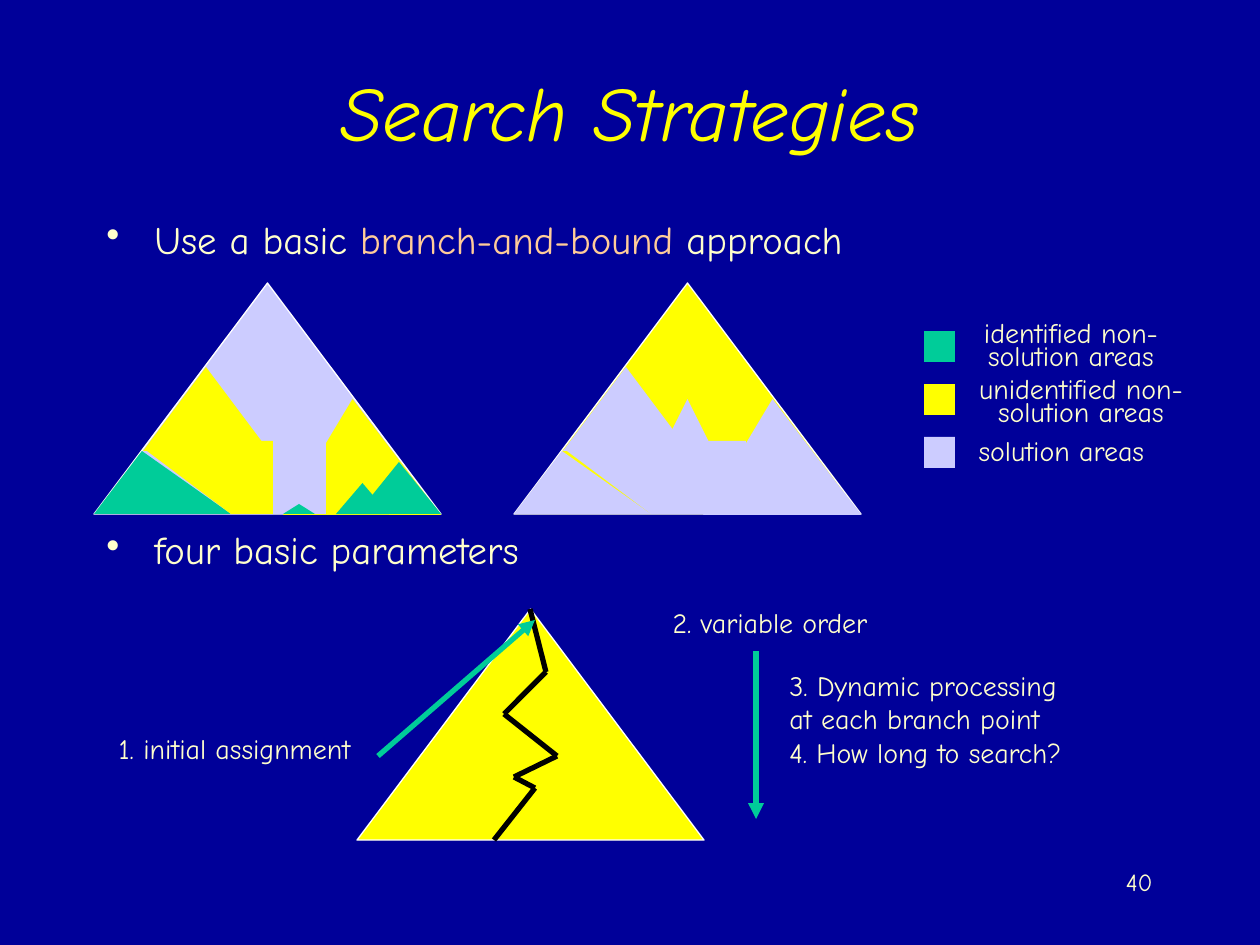
from dataclasses import dataclass
from itertools import pairwise

from lxml import etree
from pptx import Presentation
from pptx.dml.color import RGBColor
from pptx.enum.shapes import MSO_CONNECTOR, MSO_SHAPE
from pptx.enum.text import MSO_ANCHOR, PP_ALIGN
from pptx.oxml.ns import qn
from pptx.util import Emu, Pt

STRAIGHT = MSO_CONNECTOR.STRAIGHT
TRIANGLE = MSO_SHAPE.ISOSCELES_TRIANGLE
RIGHT_TRIANGLE = MSO_SHAPE.RIGHT_TRIANGLE
RECTANGLE = MSO_SHAPE.RECTANGLE
TOP = MSO_ANCHOR.TOP
MIDDLE = MSO_ANCHOR.MIDDLE
LEFT = PP_ALIGN.LEFT
CENTER = PP_ALIGN.CENTER
RIGHT = PP_ALIGN.RIGHT

EMU_PER_PX = 914400 / 126
FONT = "Comic Neue"
NAVY, WHITE, BLACK = "000099", "FFFFFF", "000000"
YELLOW, CREAM, PEACH = "FFFF00", "FFFFCC", "FFCC99"
GREEN, LAVENDER = "00CC99", "CCCCFF"
TREE_WIDTH, TREE_HEIGHT = 347, 231
TREE_TOP = 283
LEFT_TREE, RIGHT_TREE = 94, 514
SWATCH_SIZE, SWATCH_PITCH = 31, 53


@dataclass(frozen=True)
class Region:
    preset: int
    left: int
    top: int
    width: int
    height: int
    left_tree_fill: str
    peak: float = 0.5
    rotation: int = 0


@dataclass(frozen=True)
class Label:
    text: str
    left: int
    top: int
    width: int
    height: int
    size: float = 16
    align: int = CENTER
    anchor: int = MIDDLE
    spacing: float = 1.0
    wrap: bool = True


REGIONS = [
    Region(TRIANGLE, 189, 116, 158, 116, YELLOW, 0.44),
    Region(RECTANGLE, 179, 158, 53, 73, LAVENDER),
    Region(TRIANGLE, 0, 168, 137, 63, GREEN, 0.35),
    Region(TRIANGLE, 189, 221, 32, 10, GREEN),
    Region(TRIANGLE, 242, 200, 53, 31, GREEN),
    Region(TRIANGLE, 263, 179, 84, 52, GREEN),
    Region(TRIANGLE, 49, 84, 126, 84, YELLOW),
    Region(RIGHT_TRIANGLE, 53, 168, 84, 63, YELLOW, rotation=180),
    Region(RECTANGLE, 137, 158, 42, 73, YELLOW),
]
INNER_PEAK = Region(TRIANGLE, 147, 116, 53, 53, LAVENDER)

BULLETS = [
    (Label("", 94, 210, 1071, 63, 22.2, LEFT, TOP),
     [("Use a basic ", CREAM), ("branch-and-bound", PEACH), (" approach", CREAM)]),
    (Label("", 94, 525, 1071, 63, 22.2, LEFT, TOP, 0.9),
     [("four basic parameters", CREAM)]),
]
LABELS = [
    Label("solution areas", 966, 427, 191, 47, wrap=False),
    Label("unidentified non-solution areas", 945, 374, 272, 60, spacing=0.7),
    Label("identified non-solution areas", 935, 318, 272, 60, spacing=0.7),
    Label("1. initial assignment", 106, 725, 257, 47, wrap=False),
    Label("2. variable order", 659, 599, 222, 47, wrap=False),
    Label("3. Dynamic processing at each branch point\n4. How long to search?",
          777, 662, 308, 113, align=LEFT),
    Label("40", 903, 861, 262, 63, 14, RIGHT, TOP),
]
SEARCH_PATH = [(530, 609), (546, 672), (504, 714), (557, 756),
               (514, 777), (535, 788), (494, 840)]
ARROWS = [((378, 756), (535, 620)), ((756, 651), (756, 819))]


def px(length: int) -> Emu:
    return Emu(round(length * EMU_PER_PX))


def color(value: str) -> RGBColor:
    return RGBColor.from_string(value)


def style_font(font, size: float, fill: str) -> None:
    font.name = FONT
    font.size = Pt(size)
    font.color.rgb = color(fill)


def add_region(slide, region: Region, left: int, top: int, fill: str,
               outline: str = ""):
    shape = slide.shapes.add_shape(
        region.preset, px(left + region.left), px(top + region.top),
        px(region.width), px(region.height))
    shape.shadow.inherit = False
    shape.rotation = region.rotation
    if region.preset == TRIANGLE:
        shape.adjustments[0] = region.peak
    shape.fill.solid()
    shape.fill.fore_color.rgb = color(fill)
    if outline:
        shape.line.color.rgb = color(outline)
        shape.line.width = Pt(0.75)
    else:
        shape.line.fill.background()


def add_tree(slide, left: int, top: int, fill: str) -> None:
    tree = Region(TRIANGLE, 0, 0, TREE_WIDTH, TREE_HEIGHT, fill)
    add_region(slide, tree, left, top, fill, WHITE)


def add_line(slide, start: tuple[int, int], end: tuple[int, int],
             stroke: str, arrow: bool = False) -> None:
    line = slide.shapes.add_connector(
        STRAIGHT, *(px(value) for value in (*start, *end)))
    line.line.color.rgb = color(stroke)
    line.line.width = Pt(3)
    properties = line._element.spPr
    if arrow:
        outline = properties.find(qn("a:ln"))
        etree.SubElement(outline, qn("a:tailEnd"), type="triangle")
    etree.SubElement(properties, qn("a:effectLst"))


def add_label(slide, label: Label):
    box = slide.shapes.add_textbox(
        px(label.left), px(label.top), px(label.width), px(label.height))
    frame = box.text_frame
    frame.word_wrap = label.wrap
    frame.vertical_anchor = label.anchor
    frame.text = label.text
    for para in frame.paragraphs:
        para.alignment = label.align
        para.line_spacing = label.spacing
        for span in para.runs:
            style_font(span.font, label.size, CREAM)
    return box


def add_bullet(slide, label: Label, spans: list[tuple[str, str]]) -> None:
    para = add_label(slide, label).text_frame.paragraphs[0]
    properties = para._p.get_or_add_pPr()
    properties.set("marL", str(px(48)))
    properties.set("indent", str(-px(48)))
    bullet_color = etree.SubElement(properties, qn("a:buClr"))
    etree.SubElement(bullet_color, qn("a:srgbClr"), val=CREAM)
    etree.SubElement(properties, qn("a:buChar"), char="•")
    for text, fill in spans:
        span = para.add_run()
        span.text = text
        style_font(span.font, label.size, fill)


def set_title(slide, text: str) -> None:
    title = slide.shapes.title
    title.left, title.top, title.width, title.height = map(px, (94, 32, 1071, 158))
    title.text_frame.text = text
    title.text_frame.vertical_anchor = MIDDLE
    para = title.text_frame.paragraphs[0]
    para.alignment = CENTER
    font = para.runs[0].font
    style_font(font, 44, YELLOW)
    font.italic = True


def main() -> None:
    deck = Presentation()
    deck.slide_width, deck.slide_height = px(1260), px(945)
    slide = deck.slides.add_slide(deck.slide_layouts[5])
    slide.background.fill.solid()
    slide.background.fill.fore_color.rgb = color(NAVY)
    set_title(slide, "Search Strategies")
    for label, spans in BULLETS:
        add_bullet(slide, label, spans)
    add_tree(slide, LEFT_TREE, TREE_TOP, LAVENDER)
    for region in REGIONS:
        add_region(slide, region, LEFT_TREE, TREE_TOP, region.left_tree_fill)
    add_tree(slide, RIGHT_TREE, TREE_TOP, YELLOW)
    for region in [*REGIONS, INNER_PEAK]:
        add_region(slide, region, RIGHT_TREE, TREE_TOP, LAVENDER)
    swatch = Region(RECTANGLE, 0, 0, SWATCH_SIZE, SWATCH_SIZE, GREEN)
    for row, fill in enumerate((GREEN, YELLOW, LAVENDER)):
        add_region(slide, swatch, 924, 331 + row * SWATCH_PITCH, fill)
    add_tree(slide, 357, 609, YELLOW)
    for start, end in pairwise(SEARCH_PATH):
        add_line(slide, start, end, BLACK)
    for start, end in ARROWS:
        add_line(slide, start, end, GREEN, arrow=True)
    for label in LABELS:
        add_label(slide, label)
    deck.save("out.pptx")


if __name__ == "__main__":
    main()
